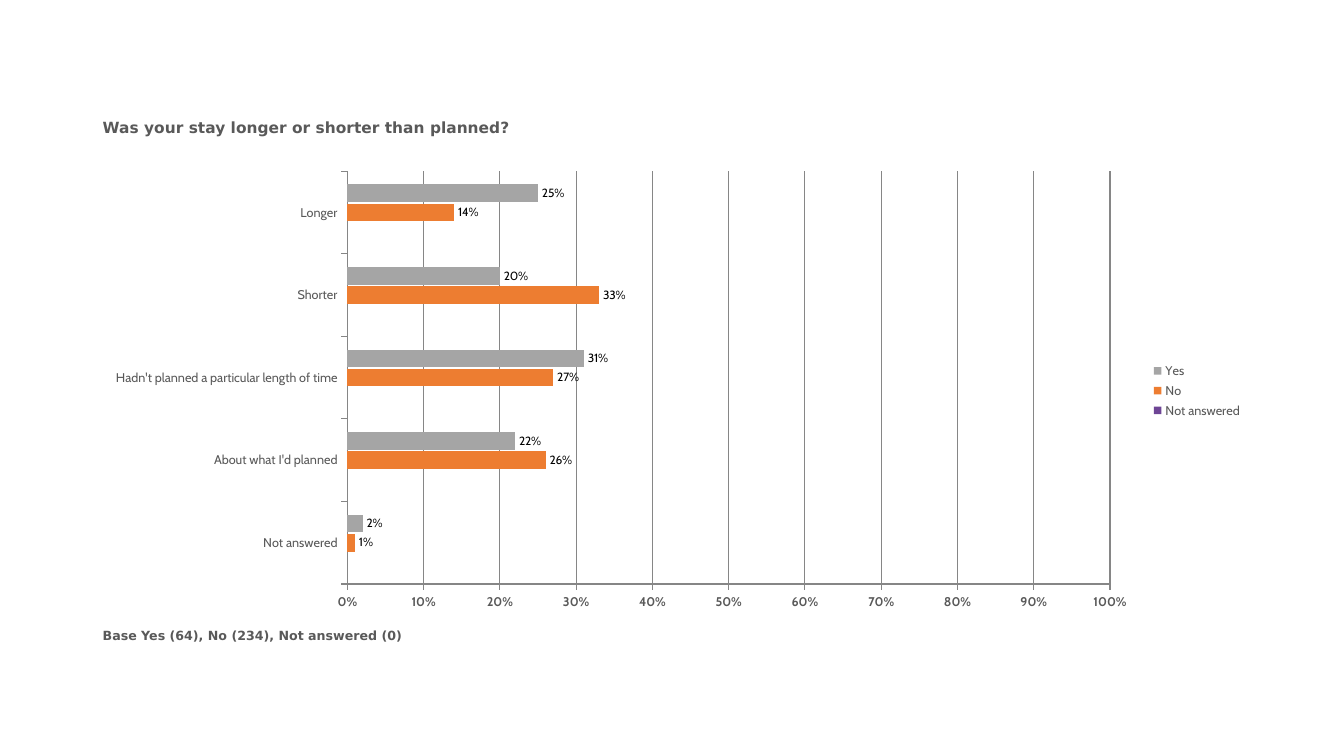
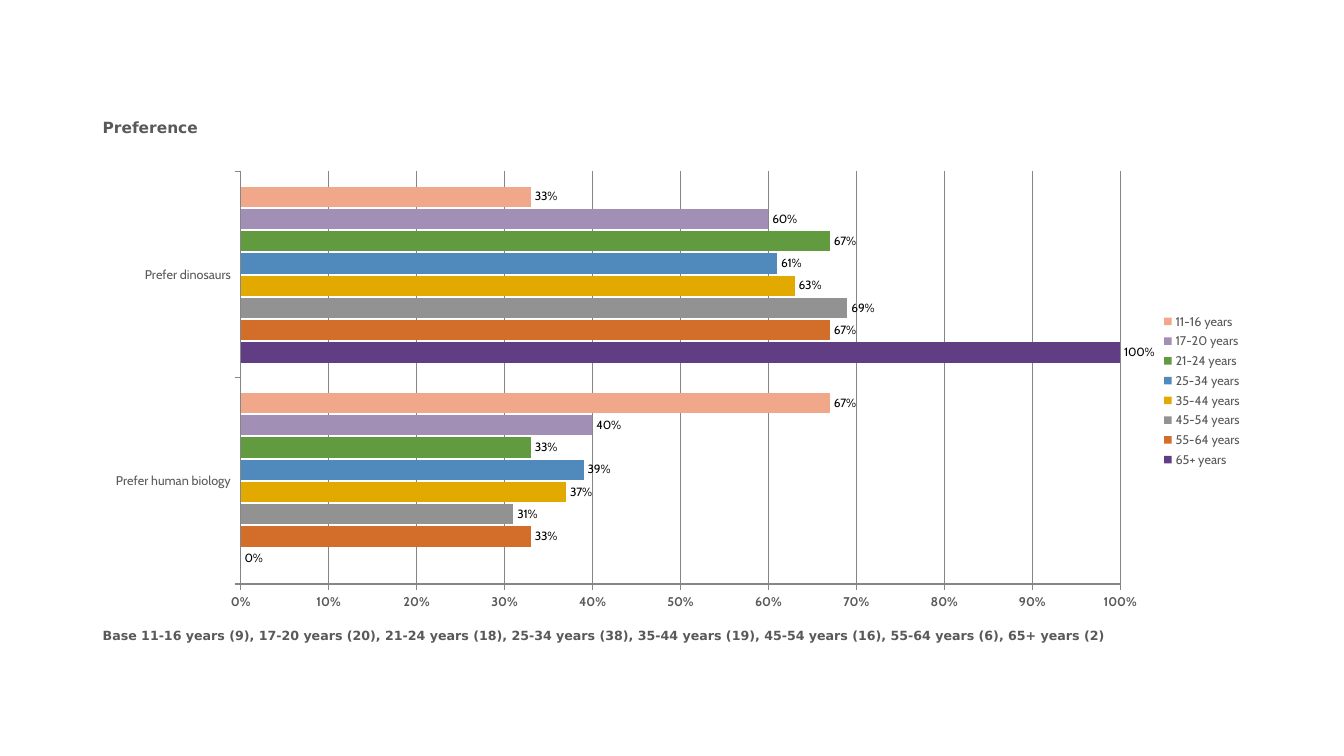
import dataclasses

import pptx
import pptx.chart.data
import pptx.dml.color
import pptx.enum.chart
import pptx.util

Inches = pptx.util.Inches


@dataclasses.dataclass(frozen=True)
class Theme:
    text_font: str = "DejaVu Sans"
    chart_font: str = "Cabin"
    base_font: str = "Calibri"
    text: str = "595959"
    label: str = "000000"
    line: str = "868686"
    title_size: float = 11
    note_size: float = 9
    axis_size: float = 9
    label_size: float = 8.5
    chart_size: float = 18
    answers: tuple = ("6E4595", "ED7D31", "A5A5A5")
    ages: tuple = ("613D84", "D26E2A", "929292", "E2AA00",
                   "5089BC", "629B3F", "A18FB5", "F1A78A")


THEME = Theme()
LEFT, WIDTH = Inches(0.92), Inches(11.5)


def rgb(value):
    return pptx.dml.color.RGBColor.from_string(value)


def style_font(font, name, size, color, bold=False):
    font.name = name
    font.size = pptx.util.Pt(size)
    font.bold = bold
    font.color.rgb = rgb(color)


def add_text(slide, text, top, height, size):
    frame = slide.shapes.add_textbox(LEFT, top, WIDTH, height).text_frame
    frame.word_wrap = True
    paragraph = frame.paragraphs[0]
    paragraph.text = text
    style_font(paragraph.font, THEME.text_font, size, THEME.text, True)


def style_line(line):
    line.color.rgb = rgb(THEME.line)
    line.width = pptx.util.Pt(0.75)


def style_axis(axis, bold=False):
    axis.tick_label_position = pptx.enum.chart.XL_TICK_LABEL_POSITION.LOW
    axis.major_tick_mark = pptx.enum.chart.XL_TICK_MARK.OUTSIDE
    axis.minor_tick_mark = pptx.enum.chart.XL_TICK_MARK.NONE
    style_font(axis.tick_labels.font, THEME.chart_font, THEME.axis_size, THEME.text, bold)
    style_line(axis.format.line)


def style_value_axis(axis):
    style_axis(axis, bold=True)
    axis.minimum_scale, axis.maximum_scale = 0, 1
    axis.major_unit = 0.1
    axis.has_major_gridlines = True
    style_line(axis.major_gridlines.format.line)
    axis.tick_labels.number_format = "0%"
    axis.tick_labels.number_format_is_linked = False


def style_series(series, color):
    series.format.fill.solid()
    series.format.fill.fore_color.rgb = rgb(color)
    series.invert_if_negative = False
    labels = series.data_labels
    labels.show_value = True
    labels.position = pptx.enum.chart.XL_LABEL_POSITION.OUTSIDE_END
    labels.number_format = "0%"
    labels.number_format_is_linked = False
    style_font(labels.font, THEME.chart_font, THEME.label_size, THEME.label)


def add_bar_chart(slide, categories, answers, colors):
    data = pptx.chart.data.CategoryChartData(number_format="0%")
    data.categories = categories
    for name, values in answers.items():
        data.add_series(name, values)
    chart = slide.shapes.add_chart(
        pptx.enum.chart.XL_CHART_TYPE.BAR_CLUSTERED,
        LEFT, Inches(1.61), WIDTH, Inches(4.53), data).chart
    style_font(chart.font, THEME.base_font, THEME.chart_size, THEME.label)
    chart.has_title = False
    chart.has_legend = True
    chart.legend.position = pptx.enum.chart.XL_LEGEND_POSITION.RIGHT
    chart.legend.include_in_layout = False
    style_font(chart.legend.font, THEME.chart_font, THEME.axis_size, THEME.text)
    style_axis(chart.category_axis)
    style_value_axis(chart.value_axis)
    plot = chart.plots[0]
    plot.gap_width = 150
    plot.overlap = -10
    plot.vary_by_categories = False
    for series, color in zip(plot.series, colors):
        style_series(series, color)


def add_survey_slide(presentation, title, base, categories, answers, colors):
    slide = presentation.slides.add_slide(presentation.slide_layouts[6])
    add_text(slide, title, Inches(1.12), Inches(0.51), THEME.title_size)
    add_text(slide, base, Inches(6.18), Inches(0.43), THEME.note_size)
    add_bar_chart(slide, categories, answers, colors)


def main():
    presentation = pptx.Presentation()
    presentation.slide_width = Inches(13.33)
    presentation.slide_height = Inches(7.5)
    add_survey_slide(
        presentation,
        "Was your stay longer or shorter than planned?",
        "Base Yes (64), No (234), Not answered (0)",
        ["Not answered", "About what I'd planned",
         "Hadn't planned a particular length of time", "Shorter", "Longer"],
        {"Not answered": [None] * 5,
         "No": [0.01, 0.26, 0.27, 0.33, 0.14],
         "Yes": [0.02, 0.22, 0.31, 0.2, 0.25]},
        THEME.answers)
    add_survey_slide(
        presentation,
        "Preference",
        "Base 11-16 years (9), 17-20 years (20), 21-24 years (18), 25-34 years (38), "
        "35-44 years (19), 45-54 years (16), 55-64 years (6), 65+ years (2)",
        ["Prefer human biology", "Prefer dinosaurs"],
        {"65+ years": [0, 1],
         "55-64 years": [0.33, 0.67],
         "45-54 years": [0.31, 0.69],
         "35-44 years": [0.37, 0.63],
         "25-34 years": [0.39, 0.61],
         "21-24 years": [0.33, 0.67],
         "17-20 years": [0.4, 0.6],
         "11-16 years": [0.67, 0.33]},
        THEME.ages)
    presentation.save("out.pptx")


if __name__ == "__main__":
    main()
